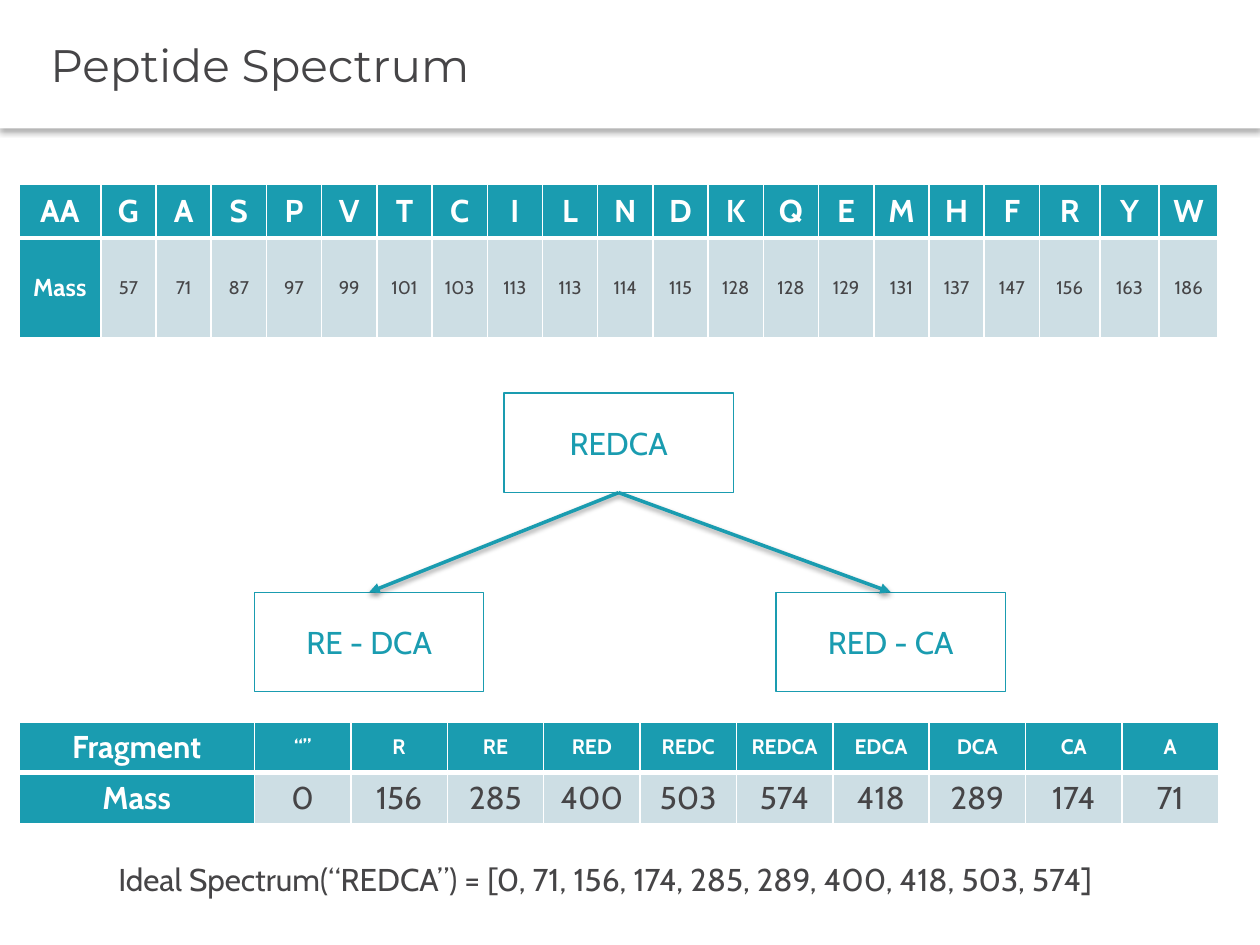
from lxml import etree
from pptx import Presentation
from pptx import util as u
from pptx.dml.color import RGBColor
from pptx.enum import shapes, text
from pptx.oxml import parse_xml
from pptx.oxml.ns import nsdecls, qn

# Content
TITLE = "Peptide Spectrum"
AMINO_ACIDS = ["AA", *"GASPVTCILNDKQEMHFRYW"]
AMINO_MASSES = ["Mass", 57, 71, 87, 97, 99, 101, 103, 113, 113, 114, 115,
                128, 128, 129, 131, 137, 147, 156, 163, 186]
FRAGMENTS = ["Fragment", "“”", "R", "RE", "RED", "REDC", "REDCA",
             "EDCA", "DCA", "CA", "A"]
FRAGMENT_MASSES = ["Mass", 0, 156, 285, 400, 503, 574, 418, 289, 174, 71]
PEPTIDE = ("REDCA", 4, 3.12)
SPLITS = [("RE - DCA", 2.02, 4.7), ("RED - CA", 6.16, 4.7)]
SPECTRUM = ("Ideal Spectrum(“REDCA”) = "
            "[0, 71, 156, 174, 285, 289, 400, 418, 503, 574]")

TEAL, PALE, DARK, WHITE = "1A9CB0", "CDDEE4", "464547", "FFFFFF"
TABLE_LEFT, TABLE_WIDTH = 0.15, 9.52
BOX_WIDTH, BOX_HEIGHT = 1.82, 0.79


def color(value):
    return RGBColor.from_string(value)


def write(frame, words, size, ink, font="Cabin", bold=False,
          align=text.PP_ALIGN.CENTER):
    paragraph = frame.paragraphs[0]
    paragraph.alignment = align
    run = paragraph.add_run()
    run.text = str(words)
    run.font.name, run.font.size, run.font.bold = font, u.Pt(size), bold
    run.font.color.rgb = color(ink)


def add_shadow(shape, opacity, distance):
    shape._element.spPr.append(parse_xml(
        f'<a:effectLst {nsdecls("a")}><a:outerShdw blurRad="{u.Pt(3.1)}" '
        f'dist="{u.Pt(distance)}" dir="5400000" rotWithShape="0">'
        f'<a:srgbClr val="000000"><a:alpha val="{opacity * 1000}"/></a:srgbClr>'
        '</a:outerShdw></a:effectLst>'))


def set_borders(cell, top, bottom):
    properties = cell._tc.get_or_add_tcPr()
    sides = [("lnL", 1), ("lnR", 1), ("lnT", top), ("lnB", bottom)]
    for index, (side, width) in enumerate(sides):
        properties.insert(index, parse_xml(
            f'<a:{side} {nsdecls("a")} w="{u.Pt(width)}"><a:solidFill>'
            f'<a:srgbClr val="{WHITE}"/></a:solidFill></a:{side}>'))


def add_table(slide, top, widths, heights, rows, sizes, margins):
    """sizes holds (label size, value size) for each row."""
    table = slide.shapes.add_table(
        len(rows), len(widths), u.Inches(TABLE_LEFT), u.Inches(top),
        u.Inches(TABLE_WIDTH), u.Inches(sum(heights))).table
    table.first_row = table.horz_banding = False
    for column, width in zip(table.columns, widths):
        column.width = u.Inches(width)
    for r, values in enumerate(rows):
        table.rows[r].height = u.Inches(heights[r])
        for c, value in enumerate(values):
            cell = table.cell(r, c)
            heading = r == 0 or c == 0
            side, edge = margins if c else (0, 0)
            cell.margin_left = cell.margin_right = u.Inches(side)
            cell.margin_top = cell.margin_bottom = u.Inches(edge)
            cell.vertical_anchor = text.MSO_ANCHOR.MIDDLE
            cell.fill.solid()
            cell.fill.fore_color.rgb = color(TEAL if heading else PALE)
            set_borders(cell, 3 if r else 1, 1 if r else 3)
            write(cell.text_frame, value, sizes[r][min(c, 1)],
                  WHITE if heading else DARK, bold=heading)


def add_box(slide, words, left, top):
    box = slide.shapes.add_shape(
        shapes.MSO_SHAPE.RECTANGLE, u.Inches(left), u.Inches(top),
        u.Inches(BOX_WIDTH), u.Inches(BOX_HEIGHT))
    box.shadow.inherit = False
    box.fill.background()
    box.line.color.rgb = color(TEAL)
    box.line.width = u.Pt(0.75)
    box.text_frame.vertical_anchor = text.MSO_ANCHOR.MIDDLE
    write(box.text_frame, words, 18, TEAL)
    return box


def add_arrow(slide, start, end):
    arrow = slide.shapes.add_connector(shapes.MSO_CONNECTOR.STRAIGHT, 0, 0, 0, 0)
    arrow.begin_connect(start, 2)
    arrow.end_connect(end, 0)
    arrow.line.color.rgb = color(TEAL)
    arrow.line.width = u.Pt(2)
    etree.SubElement(arrow.line._get_or_add_ln(), qn("a:tailEnd"), type="triangle")
    add_shadow(arrow, 38, 1.6)


def main():
    presentation = Presentation()
    presentation.slide_width = u.Inches(10)
    presentation.slide_height = u.Inches(7.5)
    slide = presentation.slides.add_slide(presentation.slide_layouts[6])

    # Title band
    band = slide.shapes.add_shape(shapes.MSO_SHAPE.RECTANGLE, 0, 0,
                                  u.Inches(10), u.Inches(1.02))
    band.fill.solid()
    band.fill.fore_color.rgb = color(WHITE)
    band.line.fill.background()
    add_shadow(band, 30, 2)
    band.text_frame.margin_left = u.Inches(0.4)
    band.text_frame.vertical_anchor = text.MSO_ANCHOR.MIDDLE
    write(band.text_frame, TITLE, 26, DARK, "Montserrat",
          align=text.PP_ALIGN.LEFT)

    # Amino acid masses: the last three columns are a little wider
    label, last = 0.65, [0.48, 0.47, 0.47]
    count = len(AMINO_ACIDS) - 1 - len(last)
    common = (TABLE_WIDTH - label - sum(last)) / count
    add_table(slide, 1.46, [label] + [common] * count + last, [0.43, 0.79],
              [AMINO_ACIDS, AMINO_MASSES], [(18, 18), (14, 10.5)], (0, 0))

    # Peptide and its two splits
    peptide = add_box(slide, *PEPTIDE)
    for split in SPLITS:
        add_arrow(slide, peptide, add_box(slide, *split))

    # Fragment masses
    label, count = 1.87, len(FRAGMENTS) - 1
    add_table(slide, 5.73, [label] + [(TABLE_WIDTH - label) / count] * count,
              [0.4, 0.4], [FRAGMENTS, FRAGMENT_MASSES],
              [(18, 12), (18, 18)], (0.1, 0.05))

    # Resulting spectrum
    note = slide.shapes.add_textbox(u.Inches(0.84), u.Inches(6.78),
                                    u.Inches(8.62), u.Inches(0.4))
    note.text_frame.word_wrap = True
    write(note.text_frame, SPECTRUM, 18, DARK, align=text.PP_ALIGN.LEFT)

    presentation.save("out.pptx")


if __name__ == "__main__":
    main()
